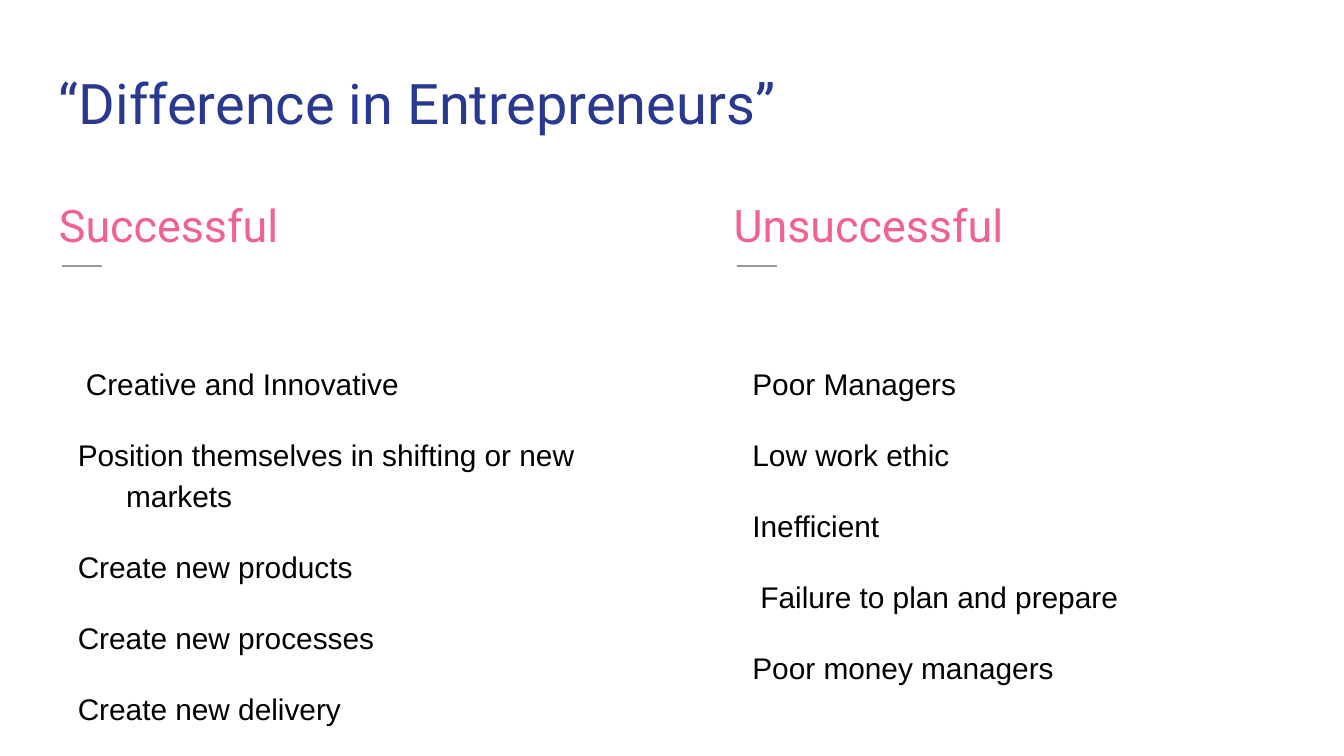
"""Build a slide contrasting successful and unsuccessful entrepreneurs."""
from lxml import etree
from pptx import Presentation, util as u
from pptx.dml.color import RGBColor
from pptx.enum import shapes, text
from pptx.oxml.ns import qn

INDENT, SPACE_WIDTH = 0.36, 0.06


def rgb(value):
    return RGBColor.from_string(value)


def add_text(x, y, w, h, lines, size, font, color, top=0.1, spacing=None):
    sp = s.shapes.add_textbox(u.Inches(x), u.Inches(y), u.Inches(w), u.Inches(h))
    tf = sp.text_frame
    frame = {"word_wrap": True, "vertical_anchor": text.MSO_ANCHOR.TOP,
             "margin_left": u.Inches(0.1), "margin_right": u.Inches(0.1),
             "margin_top": u.Inches(top), "margin_bottom": u.Inches(0.1)}
    for name, value in frame.items():
        setattr(tf, name, value)
    for i, line in enumerate(lines):
        p = tf.paragraphs[0] if i == 0 else tf.add_paragraph()
        if spacing:
            p.line_spacing, p.space_after = spacing, u.Pt(16)
        r = p.add_run()
        r.text = line
        for name, value in {"size": u.Pt(size), "name": font}.items():
            setattr(r.font, name, value)
        r.font.color.rgb = rgb(color)
    return tf


prs = Presentation()
prs.slide_width = u.Inches(10)
prs.slide_height = int(prs.slide_width * 9 / 16)
s = prs.slides.add_slide(prs.slide_layouts[6])

add_text(0.34, 0.41, 9.32, 0.8, ["“Difference in Entrepreneurs”"], 30, "Roboto", "2A3990")

columns = [
    (0.34, "Successful", 0,
     ["Creative and Innovative", "Position themselves in shifting or new markets",
      "Create new products", "Create new processes", "Create new delivery"]),
    (5.36, "Unsuccessful", 3,
     ["Poor Managers", "Low work ethic", "Inefficient",
      "Failure to plan and prepare", "Poor money managers"]),
]
for x, heading, shifted, traits in columns:
    add_text(x, 1.31, 4.21, 0.57, [heading], 24, "Roboto", "F06292", spacing=1.15)

    rule = s.shapes.add_connector(shapes.MSO_CONNECTOR.STRAIGHT, u.Inches(x + 0.12),
                                  u.Inches(1.98), u.Inches(x + 0.42), u.Inches(1.98))
    rule.line.color.rgb = rgb("999999")
    rule.line.width = u.Pt(0.75)
    etree.SubElement(rule._element.spPr, qn("a:effectLst"))

    tf = add_text(x, 2.1, 4.21, 3.01, traits, 16, "Arial", "000000", top=0.58, spacing=1.15)
    for i, p in enumerate(tf.paragraphs):
        hanging = INDENT - (SPACE_WIDTH if i == shifted else 0)
        pPr = p._p.get_or_add_pPr()
        pPr.set("marL", str(u.Inches(0.5)))
        pPr.set("indent", str(-u.Inches(hanging)))

prs.save("out.pptx")
